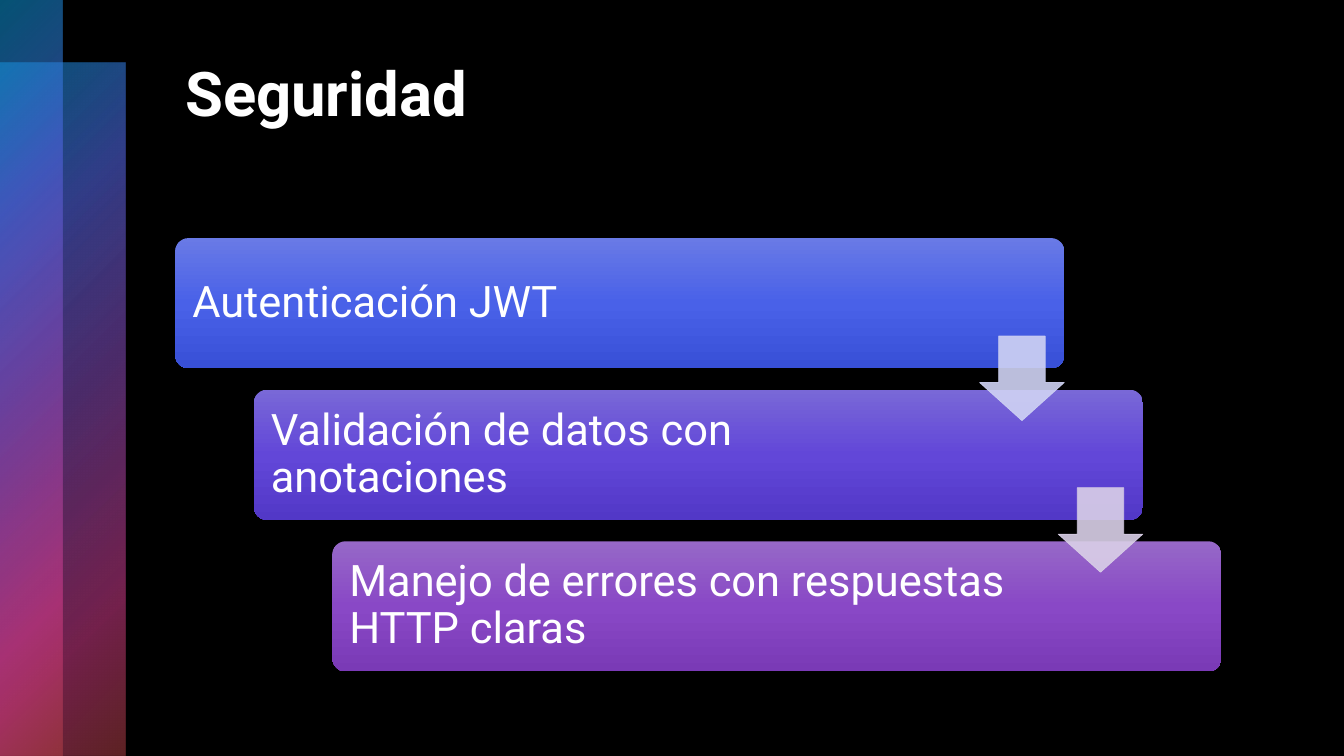
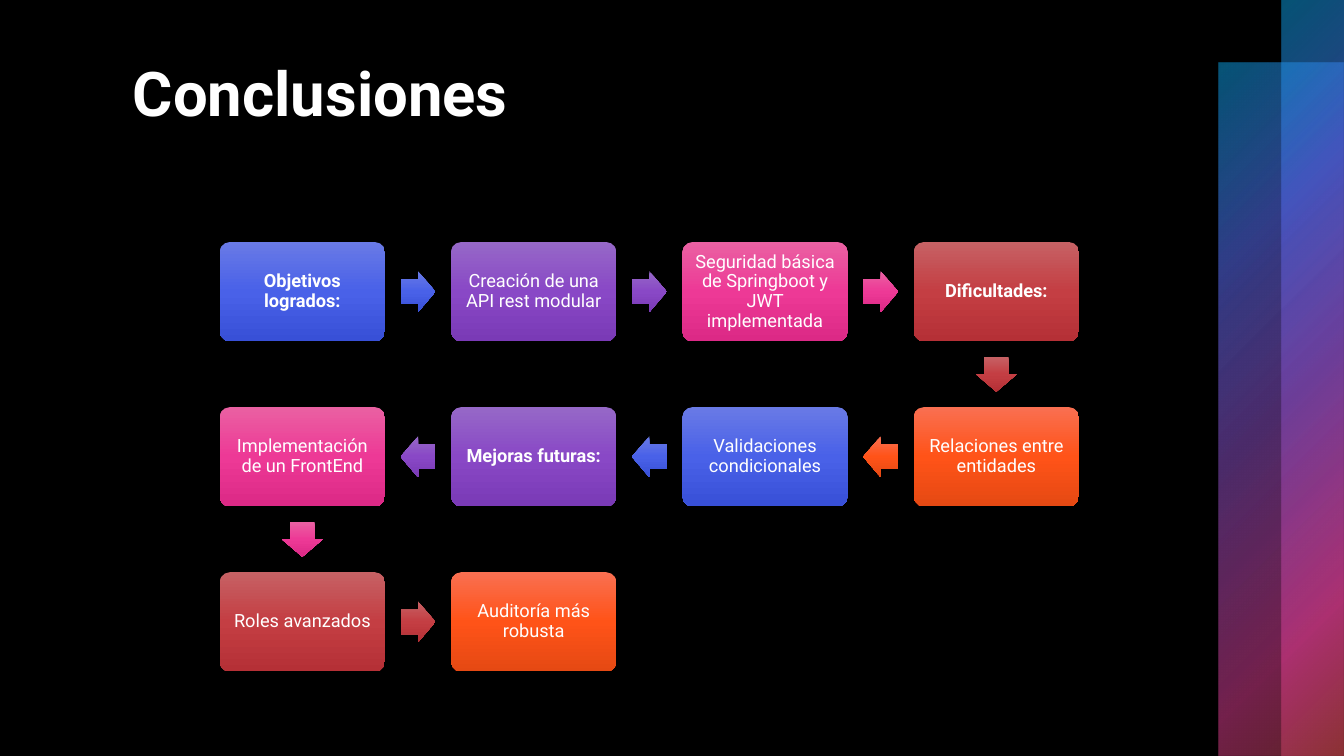
from lxml import etree
from pptx import Presentation
from pptx.dml.color import RGBColor
from pptx.enum.shapes import MSO_SHAPE
from pptx.enum.text import MSO_ANCHOR, PP_ALIGN
from pptx.oxml import parse_xml
from pptx.oxml.ns import nsdecls, qn
from pptx.util import Cm, Pt

RECT = MSO_SHAPE.RECTANGLE
ROUND = MSO_SHAPE.ROUNDED_RECTANGLE
RIGHT, LEFT, DOWN = MSO_SHAPE.RIGHT_ARROW, MSO_SHAPE.LEFT_ARROW, MSO_SHAPE.DOWN_ARROW
MIDDLE = MSO_ANCHOR.MIDDLE
ALIGN_LEFT, ALIGN_CENTER = PP_ALIGN.LEFT, PP_ALIGN.CENTER

COLORS = {
    "black": "000000", "white": "FFFFFF",
    "band_cyan": "0BA5E8", "band_blue": "5066E1", "band_purple": "894EC0",
    "band_pink": "E54196", "band_red": "BE4449",
    "blue_top": "697AE6", "blue_mid": "4961E8", "blue_end": "3850D7",
    "indigo_top": "7968D7", "indigo_mid": "6247D8", "indigo_end": "5238C7",
    "purple_top": "9668C7", "purple_mid": "8948C6", "purple_end": "7A3AB6",
    "pink_top": "EA60A2", "pink_mid": "ED3996", "pink_end": "DC2986",
    "red_top": "C66164", "red_mid": "C43E43", "red_end": "B53036",
    "orange_top": "F96F51", "orange_mid": "FF5318", "orange_end": "E54913",
    "pale_blue": "D0D3F4", "pale_purple": "DAD0E8",
}
BAND_STOPS = [(0, "band_cyan", 50), (25, "band_blue", 60), (50, "band_purple", 55),
              (81, "band_pink", 50), (99, "band_red", 50)]
BAND_SHADE = ('<a:path path="circle"><a:fillToRect r="100000" b="100000"/></a:path>'
              '<a:tileRect l="-100000" t="-100000"/>')
LINEAR_SHADE = '<a:lin ang="5400000" scaled="0"/>'
TITLE_FONT = {"name": "Roboto", "size": Pt(44), "bold": True}
STEP_FONT = {"name": "Roboto", "size": Pt(31), "bold": False}
STEP_FRAME = {"margin_left": Cm(0.33), "margin_right": Cm(4.42),
              "margin_top": Cm(0.33), "margin_bottom": Cm(0.33)}
CARD_FONT = {"name": "Roboto", "size": Pt(13)}
CARD_FRAME = {"margin_left": Cm(0.13), "margin_right": Cm(0.13),
              "margin_top": Cm(0.13), "margin_bottom": Cm(0.13)}


def add_gradient_shape(s, kind, box, stops, shade=LINEAR_SHADE, adj=()):
    sp = s.shapes.add_shape(kind, *map(Cm, box))
    sp.shadow.inherit = False
    sp.line.fill.background()
    sp.fill.background()
    for i, value in enumerate(adj):
        sp.adjustments[i] = value
    gs = "".join(
        f'<a:gs pos="{pos * 1000}"><a:srgbClr val="{COLORS[color]}">'
        f'<a:alpha val="{alpha * 1000}"/></a:srgbClr></a:gs>'
        for pos, color, alpha in stops)
    spPr = sp._element.spPr
    spPr.replace(spPr.find(qn("a:noFill")), parse_xml(
        f'<a:gradFill {nsdecls("a")} rotWithShape="1"><a:gsLst>{gs}</a:gsLst>{shade}</a:gradFill>'))
    return sp


def write_text(sp, text, font, frame, align=ALIGN_LEFT, spacing=0.9):
    tf = sp.text_frame
    tf.word_wrap = True
    for name, value in frame.items():
        setattr(tf, name, value)
    p = tf.paragraphs[0]
    p.alignment = align
    p.line_spacing = spacing
    r = p.add_run()
    r.text = text
    for name, value in font.items():
        setattr(r.font, name, value)
    r.font.color.rgb = RGBColor.from_string(COLORS["white"])


prs = Presentation()
prs.slide_width, prs.slide_height = Cm(33.87), Cm(19.05)
bg = prs.slide_master.background.fill
bg.solid()
bg.fore_color.rgb = RGBColor.from_string(COLORS["black"])

slides = []
for title, title_left, wide_left, narrow_left in [
        ("Seguridad", 4.42, 0, 0), ("Conclusiones", 3.1, 30.71, 32.29)]:
    s = prs.slides.add_slide(prs.slide_layouts[6])
    for box in [(wide_left, 1.57, 3.16, 17.48), (narrow_left, 0, 1.58, 19.05)]:
        add_gradient_shape(s, RECT, box, BAND_STOPS, BAND_SHADE)
    sp = s.shapes.add_textbox(Cm(title_left), Cm(1.27), Cm(26.34), Cm(4.32))
    write_text(sp, title, TITLE_FONT, {}, spacing=1.0)
    slides.append(s)
security, conclusions = slides

steps = [("Autenticación JWT", "blue"),
         ("Validación de datos con anotaciones", "indigo"),
         ("Manejo de errores con respuestas HTTP claras", "purple")]
step_x, step_y, step_w, step_h, shift_x, shift_y = 4.42, 6, 22.4, 3.28, 1.98, 3.82
for i, (text, tone) in enumerate(steps):
    stops = [(0, tone + "_top", 100), (50, tone + "_mid", 100), (100, tone + "_end", 100)]
    box = (step_x + i * shift_x, step_y + i * shift_y, step_w, step_h)
    sp = add_gradient_shape(security, ROUND, box, stops, adj=(0.1,))
    write_text(sp, text, STEP_FONT, {**STEP_FRAME, "vertical_anchor": MIDDLE})

arrow = 2.13
for i, color in enumerate(["pale_blue", "pale_purple"]):
    x = step_x + step_w - arrow + i * shift_x
    y = step_y + 2.47 + i * shift_y
    sp = security.shapes.add_shape(DOWN, Cm(x), Cm(y), Cm(arrow), Cm(arrow))
    sp.shadow.inherit = False
    sp.adjustments[0], sp.adjustments[1] = 0.55, 0.45
    sp.line.width = Pt(0.5)
    for fill in (sp.fill, sp.line.fill):
        fill.solid()
        fill.fore_color.rgb = RGBColor.from_string(COLORS[color])
    for clr in sp._element.spPr.iter(qn("a:srgbClr")):
        etree.SubElement(clr, qn("a:alpha"), val="90000")

cards = ["Objetivos logrados:", "Creación de una API rest modular",
         "Seguridad básica de Springboot y JWT implementada", "Dificultades:",
         "Relaciones entre entidades", "Validaciones condicionales", "Mejoras futuras:",
         "Implementación de un FrontEnd", "Roles avanzados", "Auditoría más robusta"]
tones = ["blue", "purple", "pink", "red", "orange"]
cols, card_w, card_h, pitch_x, pitch_y = 4, 4.16, 2.5, 5.83, 4.16
arrow_len, arrow_span = 0.88, 1.03
centers = []
for i in range(len(cards)):
    row, col = divmod(i, cols)
    if row % 2:
        col = cols - 1 - col
    centers.append((5.54 + card_w / 2 + col * pitch_x, 6.1 + card_h / 2 + row * pitch_y))

for i, (text, (x, y)) in enumerate(zip(cards, centers)):
    tone = tones[i % len(tones)]
    stops = [(0, tone + "_top", 100), (50, tone + "_mid", 100), (100, tone + "_end", 100)]
    box = (x - card_w / 2, y - card_h / 2, card_w, card_h)
    sp = add_gradient_shape(conclusions, ROUND, box, stops, adj=(0.1,))
    write_text(sp, text, {**CARD_FONT, "bold": text.endswith(":")},
               {**CARD_FRAME, "vertical_anchor": MIDDLE}, ALIGN_CENTER)
    if i + 1 < len(cards):
        next_x, next_y = centers[i + 1]
        if next_y > y:
            kind, w, h = DOWN, arrow_span, arrow_len
        else:
            kind, w, h = (RIGHT if next_x > x else LEFT), arrow_len, arrow_span
        box = ((x + next_x - w) / 2, (y + next_y - h) / 2, w, h)
        add_gradient_shape(conclusions, kind, box, stops, adj=(0.6, 0.5))

prs.save("out.pptx")
